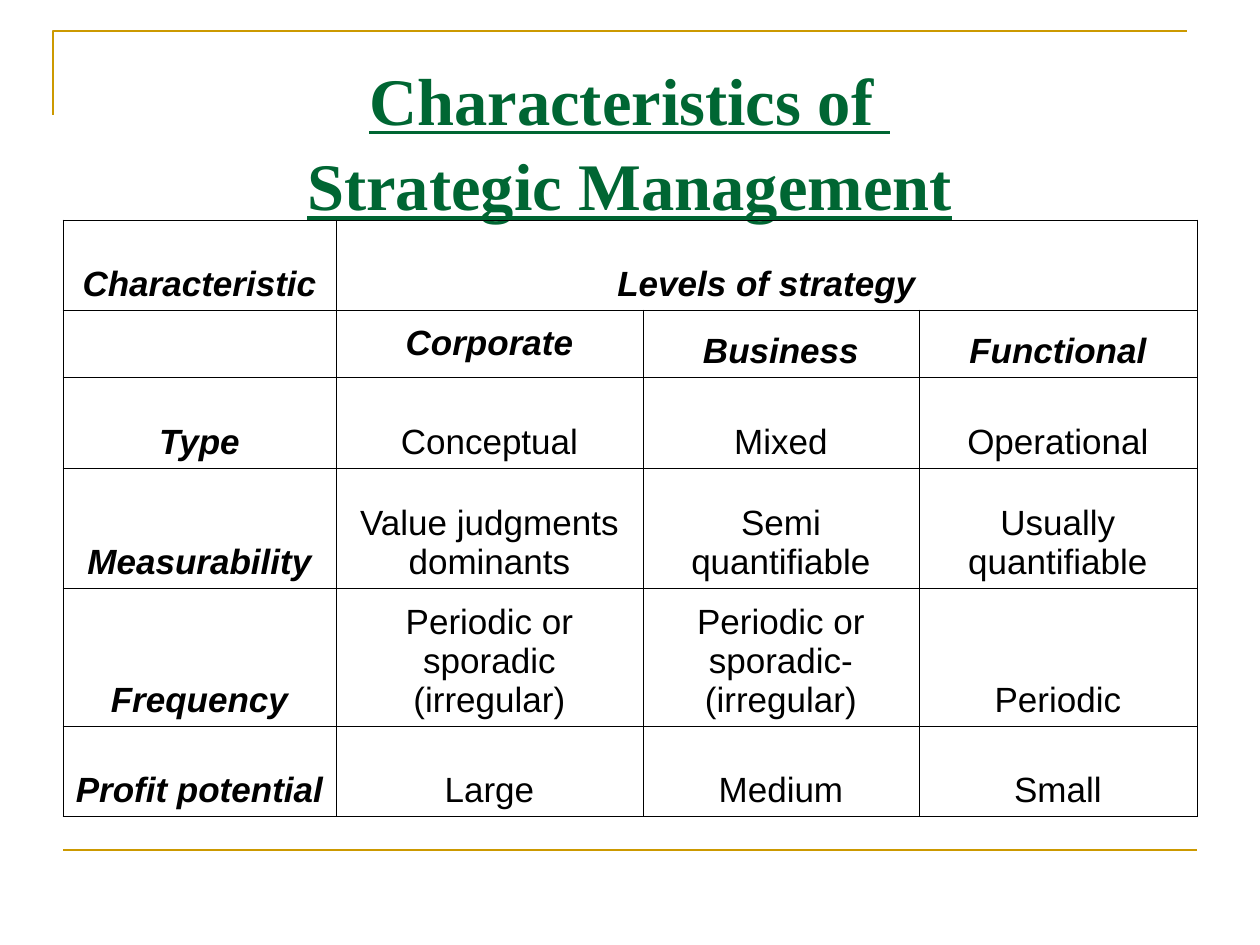
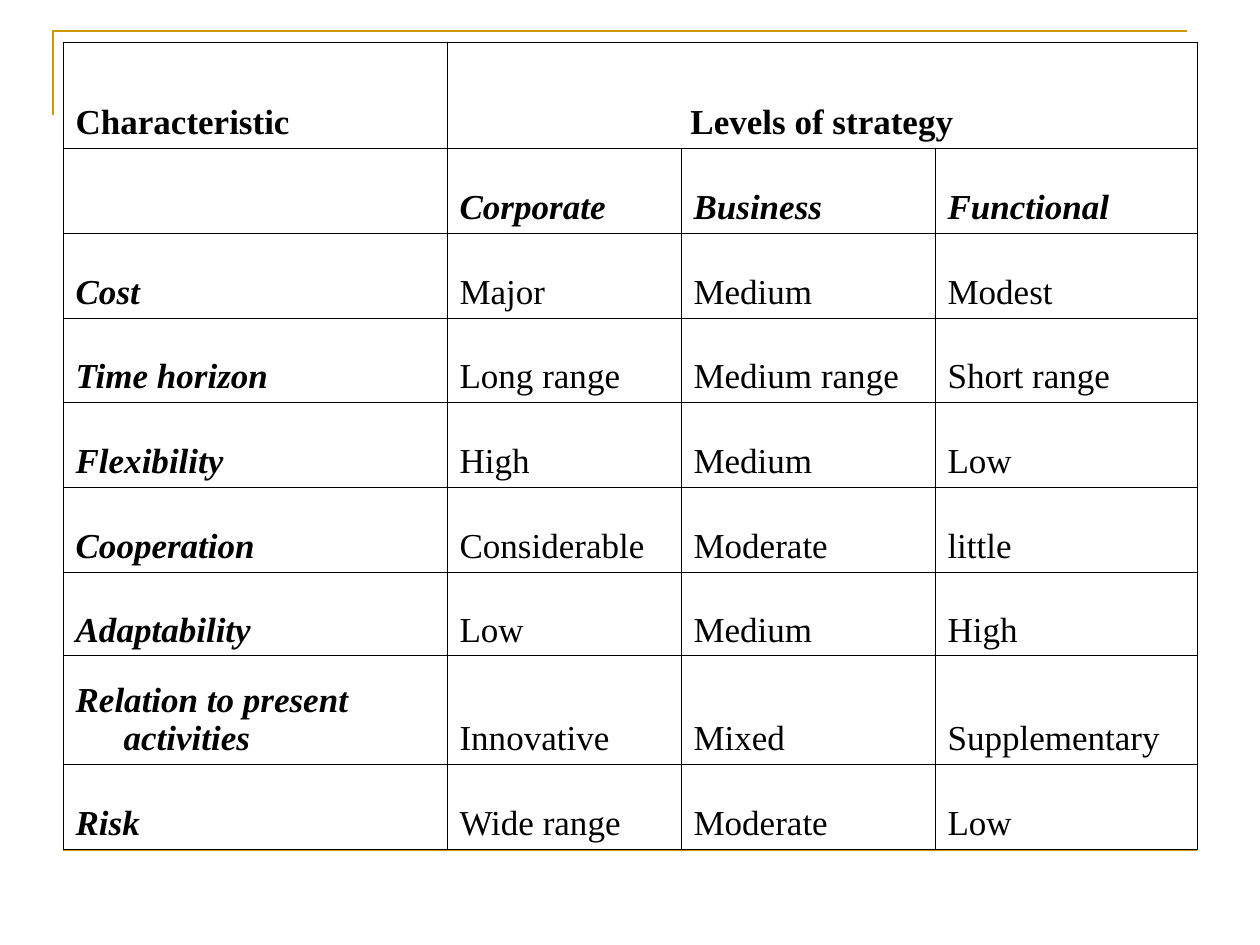
import itertools

import pptx
import pptx.dml.color
import pptx.enum.shapes
import pptx.enum.text
import pptx.oxml
import pptx.oxml.ns
import pptx.util

GOLD = pptx.dml.color.RGBColor(0xCC, 0x99, 0x00)
GREEN = pptx.dml.color.RGBColor(0x00, 0x66, 0x33)
BLACK = pptx.dml.color.RGBColor(0x00, 0x00, 0x00)
SERIF = "Times New Roman"
SANS = "Arial"
ALIGN = pptx.enum.text.PP_ALIGN
ANCHOR = pptx.enum.text.MSO_ANCHOR
BORDER_POINTS = 0.45
HANGING = 48

LEVELS = ["", "Corporate", "Business", "Functional"]
HEADINGS = [["Characteristic", "Levels of strategy", "", ""], LEVELS]
NATURE_ROWS = HEADINGS + [
    ["Type", "Conceptual", "Mixed", "Operational"],
    ["Measurability", "Value judgments dominants", "Semi quantifiable", "Usually quantifiable"],
    ["Frequency", "Periodic or sporadic (irregular)", "Periodic or sporadic-(irregular)", "Periodic"],
    ["Profit potential", "Large", "Medium", "Small"],
]
SCOPE_ROWS = HEADINGS + [
    ["Cost", "Major", "Medium", "Modest"],
    ["Time horizon", "Long range", "Medium range", "Short range"],
    ["Flexibility", "High", "Medium", "Low"],
    ["Cooperation", "Considerable", "Moderate", "little"],
    ["Adaptability", "Low", "Medium", "High"],
    ["Relation to present activities", "Innovative", "Mixed", "Supplementary"],
    ["Risk", "Wide range", "Moderate", "Low"],
]


def px(length):
    """Turn pixels at 126 to the inch into EMU."""
    return pptx.util.Emu(round(length * 914400 / 126))


def write_text(frame, text, font, size, color=BLACK, bold=False, italic=False,
               underline=False, align=ALIGN.LEFT, hanging=0, spacing=None):
    """Write one formatted paragraph into a text frame."""
    paragraph = frame.paragraphs[0]
    paragraph.text = text
    paragraph.alignment = align
    if spacing:
        paragraph.line_spacing = spacing
    if hanging:
        properties = paragraph._p.get_or_add_pPr()
        properties.set("marL", str(px(hanging)))
        properties.set("indent", str(-px(hanging)))
    for run in paragraph.runs:
        run.font.name = font
        run.font.size = pptx.util.Pt(size)
        run.font.color.rgb = color
        run.font.bold = bold
        run.font.italic = italic
        run.font.underline = underline


def add_frame(slide, left, top, width, height):
    """Draw the gold corner and the gold rule below the content."""
    builder = slide.shapes.build_freeform(px(left), px(top + 84), scale=1.0)
    builder.add_line_segments([(px(left), px(top)), (px(left + width), px(top))], close=False)
    corner = builder.convert_to_shape()
    corner.shadow.inherit = False
    corner.fill.background()
    rule_left, rule_top = px(left + 10), px(top + height)
    rule = slide.shapes.add_connector(pptx.enum.shapes.MSO_CONNECTOR.STRAIGHT, rule_left,
                                      rule_top, rule_left + px(width), rule_top)
    rule._element.spPr.append(pptx.oxml.parse_xml(
        f"<a:effectLst {pptx.oxml.ns.nsdecls('a')}/>"))
    for shape in (corner, rule):
        shape.line.color.rgb = GOLD
        shape.line.width = pptx.util.Pt(1.5)


def add_title(slide, text, left, top, width, height):
    """Place the underlined green title."""
    box = slide.shapes.add_textbox(px(left), px(top), px(width), px(height))
    frame = box.text_frame
    frame.word_wrap = True
    frame.vertical_anchor = ANCHOR.TOP
    frame.margin_top, frame.margin_bottom = px(15), 0
    write_text(frame, text, SERIF, 38, color=GREEN, bold=True, underline=True,
               align=ALIGN.CENTER, spacing=1.07)


def style_cell(cell):
    """Give a cell thin black borders, no fill and even margins."""
    properties = cell._tc.get_or_add_tcPr()
    for side in "LRTB":
        properties.append(pptx.oxml.parse_xml(
            f'<a:ln{side} {pptx.oxml.ns.nsdecls("a")} w="{pptx.util.Pt(BORDER_POINTS)}">'
            f'<a:solidFill><a:srgbClr val="{BLACK}"/></a:solidFill></a:ln{side}>'))
    cell.fill.background()
    cell.margin_left = cell.margin_right = pptx.util.Inches(0.1)
    cell.margin_top = cell.margin_bottom = pptx.util.Inches(0.05)
    cell.vertical_anchor = ANCHOR.BOTTOM


def add_strategy_table(slide, rows, left, top, column_edges, row_edges, font,
                       align, hanging=0, italic_top=True):
    """Build a table of strategy levels from edges relative to its corner."""
    graphic = slide.shapes.add_table(len(rows), len(LEVELS), px(left), px(top),
                                     px(column_edges[-1]), px(row_edges[-1]))
    table = graphic.table
    table.first_row = table.horz_banding = False
    for column, (start, end) in zip(table.columns, itertools.pairwise(column_edges)):
        column.width = px(end - start)
    for row, (start, end) in zip(table.rows, itertools.pairwise(row_edges)):
        row.height = px(end - start)
    table.cell(0, 1).merge(table.cell(0, 3))
    for row_index, texts in enumerate(rows):
        for column_index, text in enumerate(texts):
            cell = table.cell(row_index, column_index)
            style_cell(cell)
            if not text:
                continue
            heading = row_index < 2 or column_index == 0
            write_text(cell.text_frame, text, font, 20, bold=heading,
                       italic=heading and (row_index > 0 or italic_top),
                       align=ALIGN.CENTER if cell.is_merge_origin else align,
                       hanging=hanging)
    return table


def add_nature_slide(presentation):
    """Add the titled slide with the first four characteristics."""
    slide = presentation.slides.add_slide(presentation.slide_layouts[6])
    add_frame(slide, 53, 31, 1134, 819)
    add_title(slide, "Characteristics of \nStrategic Management", 63, 38, 1134, 157)
    table = add_strategy_table(slide, NATURE_ROWS, 63, 220, [0, 273, 580, 856, 1134],
                               [0, 90, 157, 248, 368, 506, 596], SANS, ALIGN.CENTER)
    table.cell(1, 1).vertical_anchor = ANCHOR.MIDDLE


def add_scope_slide(presentation):
    """Add the slide with the remaining characteristics."""
    slide = presentation.slides.add_slide(presentation.slide_layouts[6])
    add_frame(slide, 53, 31, 1134, 819)
    add_strategy_table(slide, SCOPE_ROWS, 63, 42, [0, 384, 618, 872, 1134],
                       [0, 106, 191, 276, 360, 445, 530, 614, 723, 808], SERIF,
                       ALIGN.LEFT, hanging=HANGING, italic_top=False)


def main():
    """Build and save the presentation."""
    presentation = pptx.Presentation()
    presentation.slide_width, presentation.slide_height = px(1260), px(945)
    add_nature_slide(presentation)
    add_scope_slide(presentation)
    presentation.save("out.pptx")


if __name__ == "__main__":
    main()
